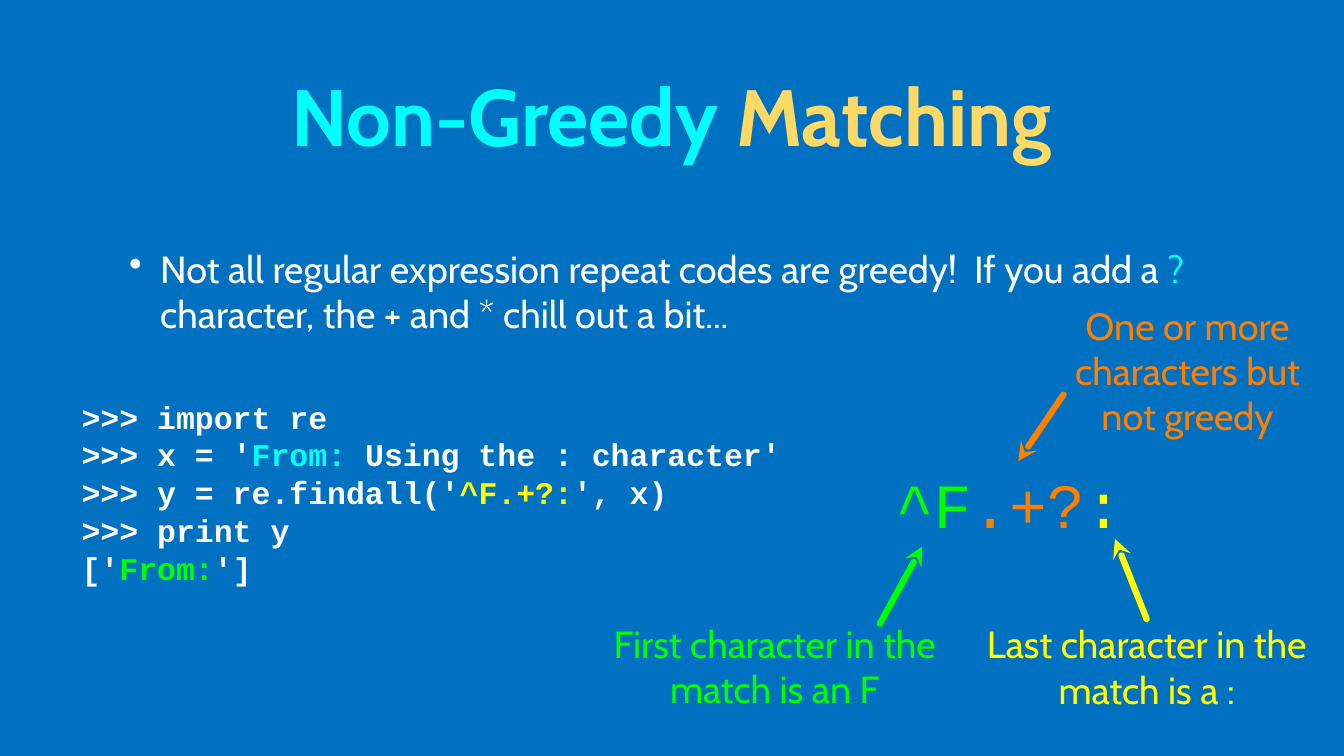
from typing import NamedTuple

from lxml.etree import SubElement
from pptx import Presentation
from pptx.dml.color import RGBColor
from pptx.enum.shapes import MSO_CONNECTOR
from pptx.enum.text import MSO_ANCHOR, PP_ALIGN
from pptx.oxml.ns import qn
from pptx.util import Inches, Pt

BLUE = RGBColor(0x00, 0x70, 0xC0)
WHITE = RGBColor(0xFF, 0xFF, 0xFF)
CYAN = RGBColor(0x00, 0xFF, 0xFF)
GOLD = RGBColor(0xFF, 0xD9, 0x66)
ORANGE = RGBColor(0xFF, 0x7F, 0x00)
GREEN = RGBColor(0x00, 0xFF, 0x00)
YELLOW = RGBColor(0xFF, 0xFF, 0x00)

SANS = "Cabin"
MONO = "Courier New"


class Run(NamedTuple):
    text: str
    color: RGBColor = WHITE


class Box(NamedTuple):
    left: float
    top: float
    width: float
    height: float


class Style(NamedTuple):
    font: str
    size: int
    bold: bool = False
    align: PP_ALIGN = PP_ALIGN.LEFT
    margin: float = 0


class Callout(NamedTuple):
    text: str
    color: RGBColor
    box: Box
    tip: tuple[float, float]
    tail: tuple[float, float]


TITLE_STYLE = Style(SANS, 76, True, PP_ALIGN.CENTER, 0.04)
BODY_STYLE = Style(SANS, 36, margin=0.04)
CODE_STYLE = Style(MONO, 30, True)
PATTERN_STYLE = Style(MONO, 60)
CALLOUT_STYLE = Style(SANS, 36, align=PP_ALIGN.CENTER)

TITLE = [Run("Non-Greedy", CYAN), Run(" Matching", GOLD)]
BODY = [
    Run("Not all regular expression repeat codes are greedy!  If you add a "),
    Run("?", CYAN),
    Run(" character, the + and * chill out a bit..."),
]
CODE = [
    [Run(">>> import re")],
    [Run(">>> x = '"), Run("From: ", CYAN), Run("Using the : character'")],
    [Run(">>> y = re.findall('"), Run("^F.+?:", YELLOW), Run("', x)")],
    [Run(">>> print y")],
    [Run("['"), Run("From:", GREEN), Run("']")],
]
PATTERN = [Run("^F", GREEN), Run(".+?", ORANGE), Run(":", YELLOW)]
CALLOUTS = [
    Callout("One or more characters but not greedy", ORANGE,
            Box(13.94, 3.99, 3.54, 1.82), (13.47, 6.1), (14.07, 5.22)),
    Callout("First character in the match is an F", GREEN,
            Box(7.97, 8.18, 4.56, 1.25), (12.2, 7.23), (11.64, 8.25)),
    Callout("Last character in the match is a :", YELLOW,
            Box(12.89, 8.19, 4.56, 1.25), (14.75, 7.13), (15.17, 8.19)),
]


def add_bullet(p) -> None:
    """Give a paragraph a white bullet with a hanging indent."""
    pPr = p._p.get_or_add_pPr()
    pPr.set("marL", str(Inches(0.82)))
    pPr.set("indent", str(Inches(-0.41)))
    color = SubElement(pPr, qn("a:buClr"))
    SubElement(color, qn("a:srgbClr"), val=str(WHITE))
    SubElement(pPr, qn("a:buChar"), char="•")


def add_text(slide, box: Box, lines: list[list[Run]], style: Style,
             bullet: bool = False) -> None:
    sp = slide.shapes.add_textbox(*map(Inches, box))
    tf = sp.text_frame
    tf.word_wrap = True
    tf.vertical_anchor = MSO_ANCHOR.MIDDLE
    tf.margin_left = tf.margin_right = Inches(style.margin)
    tf.margin_top = tf.margin_bottom = Inches(style.margin)
    for i, line in enumerate(lines):
        p = tf.add_paragraph() if i else tf.paragraphs[0]
        p.alignment = style.align
        if bullet:
            add_bullet(p)
        for run in line:
            r = p.add_run()
            r.text = run.text
            r.font.name = style.font
            r.font.size = Pt(style.size)
            r.font.bold = style.bold
            r.font.color.rgb = run.color


def add_arrow(slide, tip: tuple[float, float], tail: tuple[float, float],
              color: RGBColor) -> None:
    line = slide.shapes.add_connector(
        MSO_CONNECTOR.STRAIGHT, *map(Inches, tip + tail))
    line.line.color.rgb = color
    line.line.width = Pt(6)
    ln = line.line._get_or_add_ln()
    ln.set("cap", "rnd")
    SubElement(ln, qn("a:headEnd"), type="stealth")
    SubElement(line._element.spPr, qn("a:effectLst"))


def main() -> None:
    prs = Presentation()
    prs.slide_width = Inches(17.78)
    prs.slide_height = Inches(10)
    slide = prs.slides.add_slide(prs.slide_layouts[6])
    fill = slide.background.fill
    fill.solid()
    fill.fore_color.rgb = BLUE

    add_text(slide, Box(1.26, 0.26, 15.24, 2.51), [TITLE], TITLE_STYLE)
    add_text(slide, Box(1.26, 2.85, 15.24, 2), [BODY], BODY_STYLE, bullet=True)
    add_text(slide, Box(1.08, 5.03, 10.97, 2.96), CODE, CODE_STYLE)
    add_text(slide, Box(11.85, 6.1, 3.24, 1.12), [PATTERN], PATTERN_STYLE)
    for c in CALLOUTS:
        add_text(slide, c.box, [[Run(c.text, c.color)]], CALLOUT_STYLE)
        add_arrow(slide, c.tip, c.tail, c.color)

    prs.save("out.pptx")


if __name__ == "__main__":
    main()
